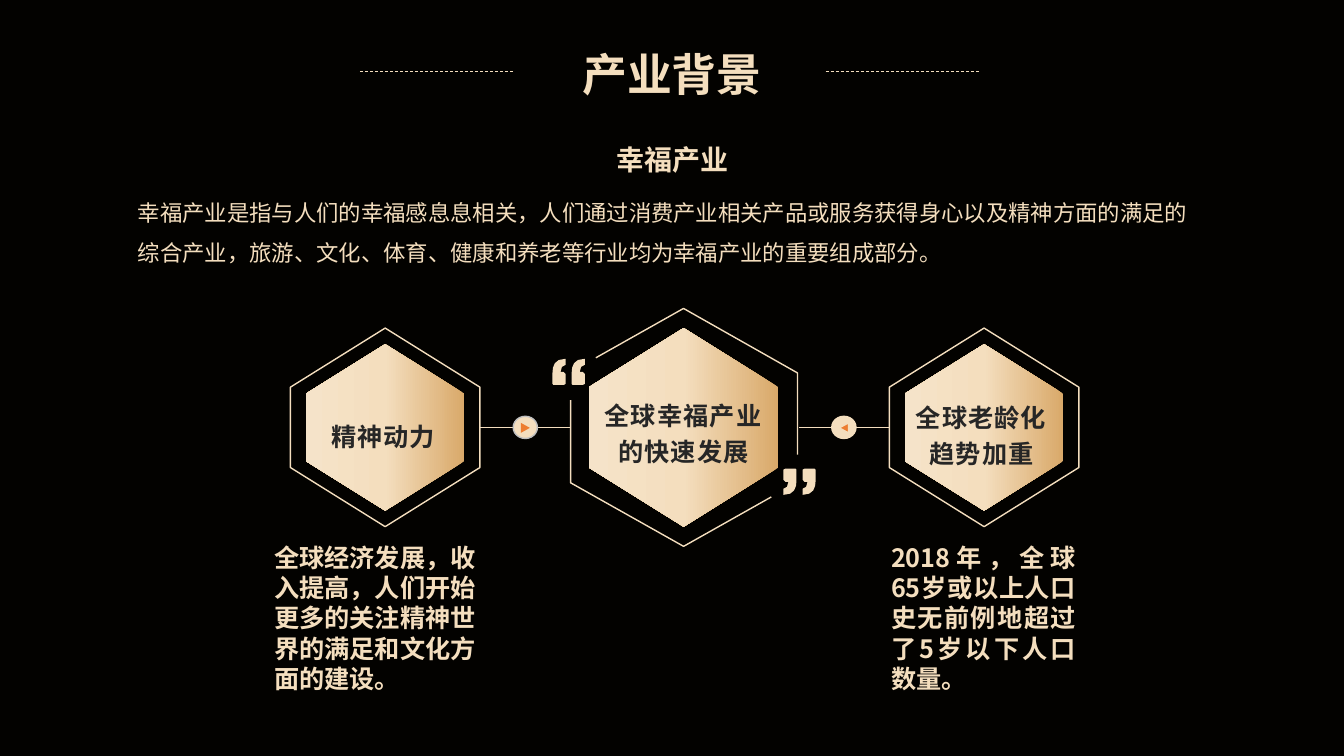
from copy import deepcopy

from lxml import etree
from pptx import Presentation
from pptx import util as u
from pptx.dml.color import RGBColor
from pptx.enum import dml, shapes, text
from pptx.oxml import ns

BLACK = RGBColor(0x03, 0x02, 0x00)
CREAM = RGBColor(0xF4, 0xDE, 0xBE)
GOLD = RGBColor(0xD9, 0xA9, 0x6A)
PALE = RGBColor(0xF5, 0xE3, 0xC9)
DARK = RGBColor(0x26, 0x26, 0x26)
GREY = RGBColor(0xBF, 0xBF, 0xBF)
ORANGE = RGBColor(0xED, 0x7D, 0x31)
FONT = "Noto Sans CJK SC"
KIND = shapes.MSO_SHAPE
ALIGN = text.PP_ALIGN
MARK = [(13, 12), (13, 1), (12, 0), (2, 0), (0, 1), (0, 11), (2, 13), (5, 13),
        (3.6, 18), (0, 20), (0, 26), (6.7, 24.8), (10.6, 21.6), (12.5, 17.1)]


def write(box, words, size=18, color=CREAM, bold=True, align=ALIGN.CENTER,
          lead=25.7, top=0.07, track=0):
    frame = box.text_frame
    frame.word_wrap = True
    frame.auto_size = text.MSO_AUTO_SIZE.NONE
    frame.vertical_anchor = text.MSO_ANCHOR.TOP
    frame.margin_left = frame.margin_right = u.Inches(0.1)
    frame.margin_top, frame.margin_bottom = u.Inches(top), 0
    para = frame.paragraphs[0]
    para.alignment = align
    para.line_spacing = u.Pt(lead)
    para.space_before = u.Pt(0)
    run = para.add_run()
    run.text = words
    font = run.font
    font.size, font.bold = u.Pt(size), bold
    font.color.rgb = color
    font.name = FONT
    props = run._r.get_or_add_rPr()
    etree.SubElement(props, ns.qn("a:ea"), typeface=FONT)
    if track:
        props.set("spc", str(track))


class Deck:
    def __init__(self):
        self.prs = Presentation()
        self.prs.slide_width = u.Inches(13.33)
        self.prs.slide_height = u.Inches(7.5)
        self.slide = self.prs.slides.add_slide(self.prs.slide_layouts[5])
        self.items = self.slide.shapes
        back = self.slide.background.fill
        back.solid()
        back.fore_color.rgb = BLACK

    def paint(self, item, fill=None, line=None):
        item.shadow.inherit = False
        if fill is None:
            item.fill.background()
        else:
            item.fill.solid()
            item.fill.fore_color.rgb = fill
        if line is None:
            item.line.fill.background()
        else:
            item.line.color.rgb = line
            item.line.width = u.Pt(1)

    def title(self, words, *box, **style):
        head = self.items.title
        head.left, head.top, head.width, head.height = map(u.Inches, box)
        write(head, words, **style)

    def label(self, words, *box, **style):
        write(self.items.add_textbox(*map(u.Inches, box)), words, **style)

    def shape(self, kind, *box, fill=None, line=None, turn=0):
        item = self.items.add_shape(kind, *map(u.Inches, box))
        item.rotation = turn
        self.paint(item, fill, line)
        return item

    def hexa(self, mid, wide, high, line=None):
        item = self.shape(KIND.HEXAGON, mid - wide / 2, 4.24 - high / 2,
                          wide, high, line=line, turn=90)
        item.adjustments[0] = 0.312
        return item

    def gem(self, mid, wide, high):
        fill = self.hexa(mid, wide, high).fill
        fill.gradient()
        fill.gradient_angle = 270
        last = fill.gradient_stops[1]._gs
        last.addnext(deepcopy(last))
        shades = ((0, GOLD), (0.5, CREAM), (1, PALE))
        for stop, (place, color) in zip(fill.gradient_stops, shades):
            stop.position = place
            stop.color.rgb = color

    def rule(self, start, end, high, width=1, dash=None):
        line = self.items.add_connector(
            shapes.MSO_CONNECTOR.STRAIGHT,
            *map(u.Inches, (start, high, end, high)))
        line.line.color.rgb = CREAM
        line.line.width = u.Pt(width)
        if dash:
            line.line.dash_style = dash
        etree.SubElement(line._element.spPr, ns.qn("a:effectLst"))

    def trace(self, points, close=False, fill=None, line=None):
        spots = [(u.Inches(x), u.Inches(y)) for x, y in points]
        pen = self.items.build_freeform(*spots[0])
        pen.add_line_segments(spots[1:], close=close)
        self.paint(pen.convert_to_shape(), fill, line)

    def quote(self, left, top, sign):
        for step in (0, 0.19):
            points = [(left + sign * (step + x / 100), top + sign * y / 100)
                      for x, y in MARK]
            self.trace(points, close=True, fill=CREAM)

    def link(self, start, end, mid, turn, rim, edge=None):
        self.rule(start, end, 4.24)
        self.shape(KIND.OVAL, mid - 0.12, 4.13, 0.24, 0.22,
                   fill=CREAM, line=rim)
        self.shape(KIND.ISOSCELES_TRIANGLE, mid - 0.05, 4.2, 0.1, 0.09,
                   fill=ORANGE, line=edge, turn=turn)


def main():
    deck = Deck()
    deck.title("产业背景", 5.15, 0.37, 3.03, 0.64, size=32, lead=38, top=0.1)
    for left in (8.19, 3.57):
        deck.rule(left, left + 1.52, 0.71, 0.5, dml.MSO_LINE.DASH)
    deck.label("幸福产业", 5.51, 1.34, 2.33, 0.44, size=20, lead=24)
    deck.label("幸福产业是指与人们的幸福感息息相关，人们通过消费产业相关产品或服务"
               "获得身心以及精神方面的满足的综合产业，旅游、文化、体育、健康和养老等"
               "行业均为幸福产业的重要组成部分。", 1.27, 1.77, 10.78, 0.91,
               size=16, bold=False, align=ALIGN.LEFT, lead=28.6)

    for mid in (3.82, 9.76):
        deck.hexa(mid, 1.97, 1.88, line=CREAM)
        deck.gem(mid, 1.65, 1.57)
    deck.trace([(5.91, 3.55), (6.78, 3.06), (7.91, 3.7), (7.91, 4.51)],
               line=CREAM)
    deck.trace([(7.65, 4.93), (6.78, 5.42), (5.66, 4.79), (5.66, 3.97)],
               line=CREAM)
    deck.gem(6.78, 1.97, 1.88)
    deck.quote(5.8, 3.82, -1)
    deck.quote(7.77, 4.65, 1)

    for words, *box in (("精神动力", 2.86, 4.05, 1.88, 0.46),
                        ("全球老龄化趋势加重", 8.91, 3.86, 1.65, 0.83),
                        ("全球幸福产业的快速发展", 5.84, 3.84, 1.88, 0.83)):
        deck.label(words, *box, color=DARK, track=80)

    deck.link(4.76, 5.66, 5.21, 90, GREY)
    deck.link(8.82, 7.92, 8.37, 270, CREAM, CREAM)

    deck.label("全球经济发展，收入提高，人们开始更多的关注精神世界的满足和文化方面的建设。",
               2.62, 5.31, 2.38, 1.61, align=ALIGN.LEFT, lead=21.6)
    deck.label("2018年，全球65岁或以上人口史无前例地超过了5岁以下人口数量。",
               8.74, 5.31, 2.03, 1.61, align=ALIGN.JUSTIFY, lead=21.6)
    deck.prs.save("out.pptx")


if __name__ == "__main__":
    main()
